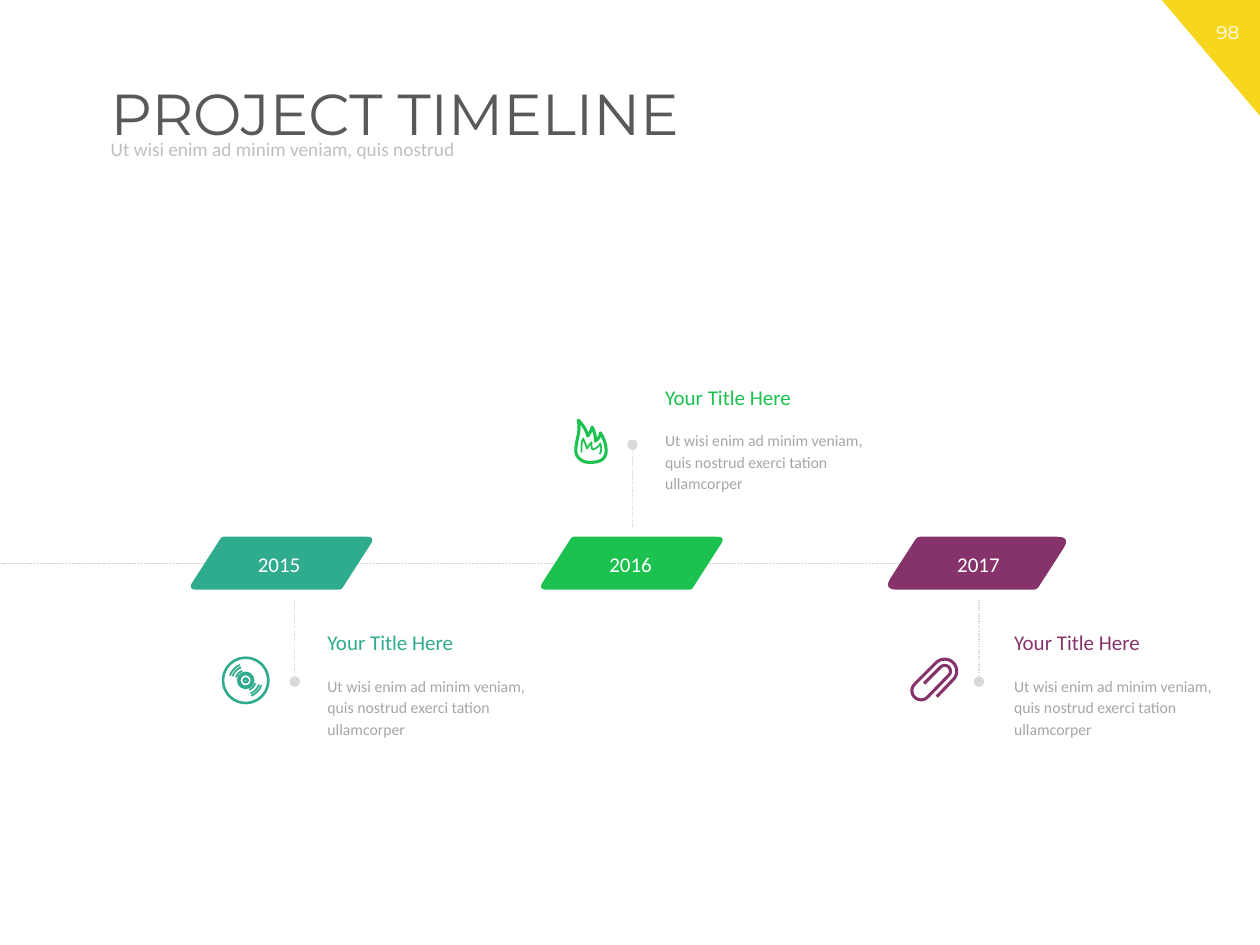
from math import cos, hypot, pi, sin

from lxml import etree
from pptx import Presentation
from pptx.dml.color import RGBColor
from pptx.enum.dml import MSO_LINE
from pptx.enum.shapes import MSO_CONNECTOR, MSO_SHAPE
from pptx.enum.text import MSO_ANCHOR, PP_ALIGN
from pptx.oxml.ns import qn
from pptx.util import Inches, Pt

STRAIGHT = MSO_CONNECTOR.STRAIGHT
ARC, DONUT, TRIANGLE = MSO_SHAPE.ARC, MSO_SHAPE.DONUT, MSO_SHAPE.RIGHT_TRIANGLE
SYS_DASH, SYS_DOT = MSO_LINE.SQUARE_DOT, MSO_LINE.ROUND_DOT
TOP, MIDDLE = MSO_ANCHOR.TOP, MSO_ANCHOR.MIDDLE
LEFT, CENTER = PP_ALIGN.LEFT, PP_ALIGN.CENTER

TEAL, GREEN, PLUM, YELLOW = "2FAB8D", "1CC24F", "85336A", "F6D71E"
WHITE, DARK, SILVER, GREY, RULE = "FFFFFF", "595959", "BFBFBF", "A6A6A6", "D9D9D9"

BADGE_TOP, BADGE_HEIGHT, BADGE_WIDTH, SLANT = 4.26, 0.42, 1.22, 0.27
ICON_GRID = 200  # icon units to the inch
DETAIL = "Ut wisi enim ad minim veniam, quis nostrud exerci tation ullamcorper"

# left of badge, left of year, stem x, stem from/to, text left/top, corner cuts
MILESTONES = [
    ("2015", TEAL, 1.49, 1.94, 2.34, 4.76, 5.41, 2.5, 4.95, 0.07, 0.02),
    ("2016", GREEN, 4.27, 4.73, 5.02, 4.18, 3.53, 5.18, 3.0, 0.07, 0.02),
    ("2017", PLUM, 7.01, 7.49, 7.77, 4.76, 5.41, 7.95, 4.95, 0.11, 0.03),
]
FLAME = [(6, 7), (10, 28, 2, 38, 2, 56), (2, 65, 11, 74, 24, 74),
         (44, 74, 48, 67, 50, 59), (51, 49, 48, 38, 41, 27),
         (41, 32, 37, 38, 33, 40), (34, 28, 28, 18, 28, 18),
         (28, 18, 26, 26, 21, 32), (18, 18, 6, 7, 6, 7)]
FLAME_CORE = [(11, 58), (11, 46, 11, 42, 14, 36), (16, 42, 18, 46, 20, 52),
              (22, 48, 24, 46, 27, 42), (27, 48, 27, 51, 29, 54),
              (36, 51, 39, 48, 41, 44), (43, 50, 43, 56, 40, 61)]
CLIP_LEGS = [((43, 62), (69, 35)), ((42, 8), (8, 42)),
             ((28, 63), (62, 28)), ((49, 15), (23, 41))]


def rgb(color):
    return RGBColor.from_string(color)


def paint(sp, fill=None, line=None, width=1):
    sp.shadow.inherit = False
    if fill:
        sp.fill.solid()
        sp.fill.fore_color.rgb = rgb(fill)
    else:
        sp.fill.background()
    if line:
        sp.line.color.rgb = rgb(line)
        sp.line.width = Pt(width)
    else:
        sp.line.fill.background()
    return sp


def add_text(slide, text, x, y, w, h, size, color, font="Calibri", align=LEFT,
             anchor=TOP, wrap=True, spacing=None):
    tf = slide.shapes.add_textbox(Inches(x), Inches(y), Inches(w), Inches(h)).text_frame
    tf.word_wrap = wrap
    tf.vertical_anchor = anchor
    p = tf.paragraphs[0]
    p.alignment = align
    if spacing:
        p.line_spacing = spacing
    r = p.add_run()
    r.text = text
    r.font.name, r.font.size, r.font.color.rgb = font, Pt(size), rgb(color)


def add_line(slide, x1, y1, x2, y2, width, dash, dot=False):
    line = slide.shapes.add_connector(STRAIGHT, Inches(x1), Inches(y1), Inches(x2), Inches(y2))
    line.line.color.rgb = rgb(RULE)
    line.line.width = Pt(width)
    line.line.dash_style = dash
    if dot:
        etree.SubElement(line.line._get_or_add_ln(), qn("a:tailEnd"), type="oval")
    etree.SubElement(line._element.spPr, qn("a:effectLst"))


def add_preset(slide, kind, x, y, w, h, **style):
    sp = slide.shapes.add_shape(kind, Inches(x), Inches(y), Inches(w), Inches(h))
    return paint(sp, **style)


def add_outline(slide, points, x=0, y=0, close=False, **style):
    pts = [(Inches(x + px), Inches(y + py)) for px, py in points]
    builder = slide.shapes.build_freeform(*pts[0])
    builder.add_line_segments(pts[1:], close=close)
    return paint(builder.convert_to_shape(), **style)


def curve_points(a, b, c, d, steps=10):
    """Points on a cubic curve after its start a."""
    for i in range(1, steps + 1):
        t = i / steps
        u = 1 - t
        yield tuple(u**3 * p + 3 * u * u * t * q + 3 * u * t * t * r + t**3 * s
                    for p, q, r, s in zip(a, b, c, d))


def trace(path):
    """Flatten a start point and its cubic segments, from icon units to inches."""
    points = [path[0]]
    for x1, y1, x2, y2, x3, y3 in path[1:]:
        points += curve_points(points[-1], (x1, y1), (x2, y2), (x3, y3))
    return [(x / ICON_GRID, y / ICON_GRID) for x, y in points]


def half_turn(a, b, steps=16):
    """Points of the counterclockwise semicircle from a to b."""
    mx, my = (a[0] + b[0]) / 2, (a[1] + b[1]) / 2
    dx, dy = a[0] - mx, a[1] - my
    angles = [pi * i / steps for i in range(1, steps)]
    return [(mx + dx * cos(t) + dy * sin(t), my + dy * cos(t) - dx * sin(t)) for t in angles]


def toward(a, b, distance):
    k = distance / hypot(b[0] - a[0], b[1] - a[1])
    return a[0] + (b[0] - a[0]) * k, a[1] + (b[1] - a[1]) * k


def add_badge(slide, x, color, sharp_cut, blunt_cut):
    """Slanted badge whose corners are rounded by the given cuts."""
    corners = [(SLANT, 0), (SLANT + BADGE_WIDTH, 0),
               (BADGE_WIDTH, BADGE_HEIGHT), (0, BADGE_HEIGHT)]
    points = []
    for i, corner in enumerate(corners):
        cut = sharp_cut if i % 2 else blunt_cut
        start = toward(corner, corners[i - 1], cut)
        end = toward(corner, corners[(i + 1) % 4], cut)
        points.append(start)
        points += curve_points(start, toward(corner, start, cut / 3),
                               toward(corner, end, cut / 3), end)
    add_outline(slide, points, x, BADGE_TOP, close=True, fill=color)


def add_disc(slide, cx, cy, color):
    for size, band in [(0.38, 0.02), (0.14, 0.03), (0.05, 0.02)]:
        ring = add_preset(slide, DONUT, cx - size / 2, cy - size / 2, size, size, fill=color)
        ring.adjustments[0] = band / size
    for radius in (0.08, 0.11, 0.13):
        for start in (17, 197):
            arc = add_preset(slide, ARC, cx - radius, cy - radius, 2 * radius, 2 * radius,
                             line=color)
            arc.adjustments[0] = start * 0.6  # 60000 units to the degree
            arc.adjustments[1] = (start + 53) * 0.6


def add_flame(slide, x, y, color):
    add_outline(slide, trace(FLAME), x, y, close=True, line=color, width=1.75)
    add_outline(slide, trace(FLAME_CORE), x, y, line=color)


def add_paperclip(slide, x, y, color):
    points = list(CLIP_LEGS[0])
    for leg in CLIP_LEGS[1:]:
        points += half_turn(points[-1], leg[0]) + list(leg)
    inches = [(px / ICON_GRID, py / ICON_GRID) for px, py in points]
    add_outline(slide, inches, x, y, line=color, width=1.75)


def add_milestone(slide, year, color, badge_x, year_x, stem_x, stem_from, stem_to,
                  text_x, text_y, sharp_cut, blunt_cut):
    add_badge(slide, badge_x, color, sharp_cut, blunt_cut)
    add_text(slide, year, year_x, 4.33, 0.55, 0.3, 12, WHITE, align=CENTER, wrap=False)
    add_line(slide, stem_x, stem_from, stem_x, stem_to, 0.75, SYS_DOT, dot=True)
    add_text(slide, "Your Title Here", text_x, text_y, 1.3, 0.3, 12, color, wrap=False)
    add_text(slide, DETAIL, text_x, text_y + 0.35, 1.91, 0.62, 9, GREY, spacing=1.14)


def main():
    prs = Presentation()
    prs.slide_width, prs.slide_height = Inches(10), Inches(7.5)
    slide = prs.slides.add_slide(prs.slide_layouts[6])

    add_preset(slide, TRIANGLE, 9.22, 0, 0.78, 0.92, fill=YELLOW).rotation = 180
    add_text(slide, "98", 9.49, 0.12, 0.51, 0.28, 10.5, WHITE, "Montserrat", CENTER)
    add_text(slide, "PROJECT TIMELINE", 0.78, 0.63, 8.86, 0.73, 33, DARK, "Montserrat",
             spacing=0.9)
    add_text(slide, "Ut wisi enim ad minim veniam, quis nostrud", 0.78, 1.06, 7.21, 0.26,
             11, SILVER, anchor=MIDDLE, spacing=0.9)

    add_line(slide, 7.2, 4.47, 0, 4.47, 0.5, SYS_DASH)
    for milestone in MILESTONES:
        add_milestone(slide, *milestone)
    add_disc(slide, 1.95, 5.4, TEAL)
    add_flame(slide, 4.56, 3.3, GREEN)
    add_paperclip(slide, 7.22, 5.22, PLUM)
    prs.save("out.pptx")


if __name__ == "__main__":
    main()
